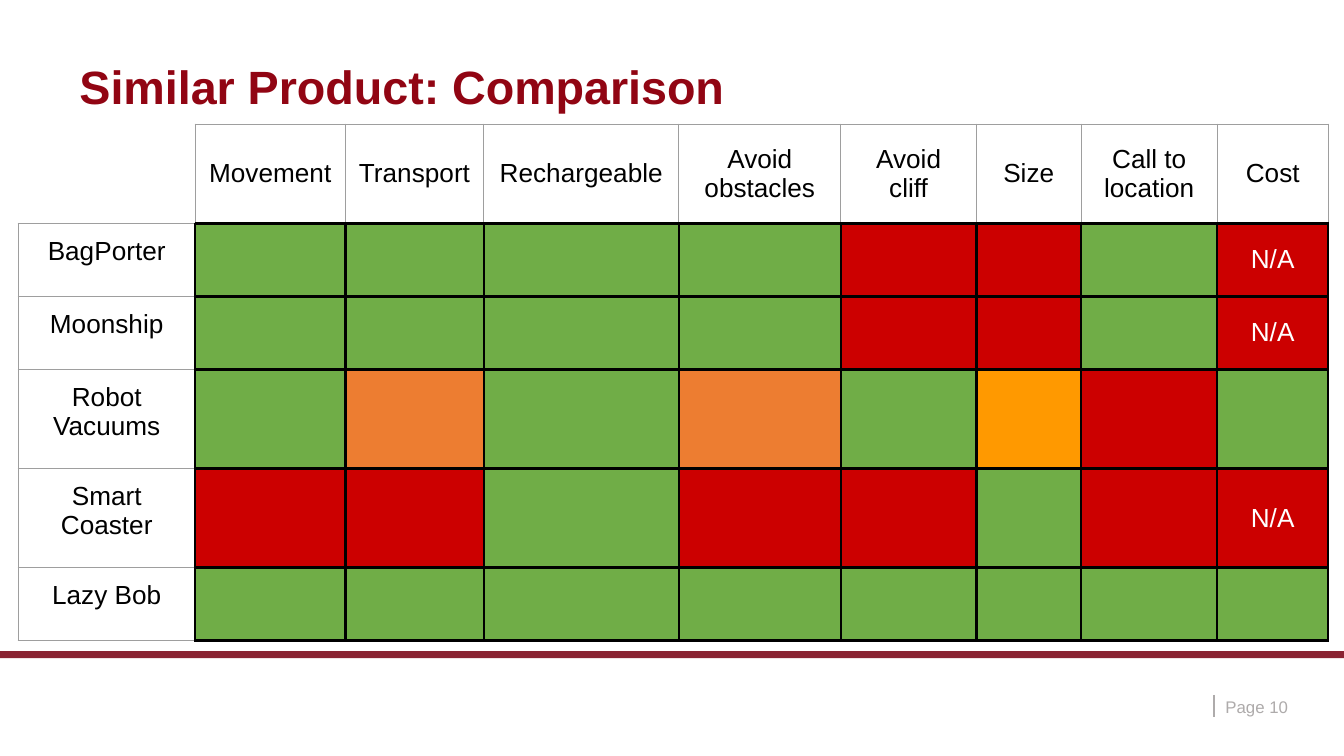
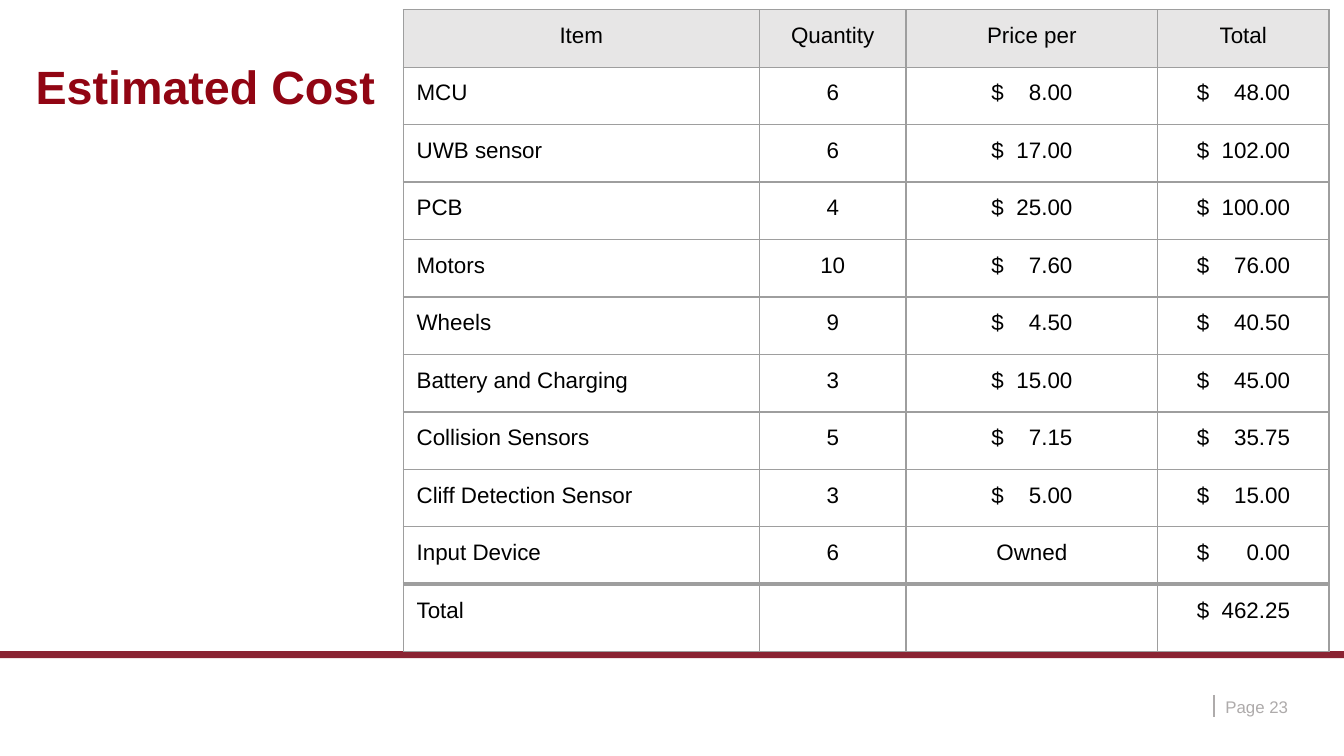
from lxml import etree
from pptx import Presentation
from pptx.dml.color import RGBColor
from pptx.enum.shapes import MSO_CONNECTOR, MSO_SHAPE
from pptx.enum.text import MSO_ANCHOR, PP_ALIGN
from pptx.oxml.ns import qn
from pptx.util import Pt

LEFT, CENTER = PP_ALIGN.LEFT, PP_ALIGN.CENTER
TOP, MIDDLE = MSO_ANCHOR.TOP, MSO_ANCHOR.MIDDLE
RECT, STRAIGHT = MSO_SHAPE.RECTANGLE, MSO_CONNECTOR.STRAIGHT

BLACK = RGBColor(0x00, 0x00, 0x00)
WHITE = RGBColor(0xFF, 0xFF, 0xFF)
CRIMSON = RGBColor(0x91, 0x05, 0x13)
MAROON = RGBColor(0x8A, 0x23, 0x32)
SILVER = RGBColor(0xAE, 0xAB, 0xAB)
GRAY = RGBColor(0x9E, 0x9E, 0x9E)
PALE = RGBColor(0xE7, 0xE6, 0xE6)
GREEN = RGBColor(0x70, 0xAD, 0x47)
RED = RGBColor(0xCC, 0x00, 0x00)
ORANGE = RGBColor(0xED, 0x7D, 0x31)
AMBER = RGBColor(0xFF, 0x99, 0x00)

FONT = "Arial"
PAD = 7.2
THIN, BOLD, THICK = (GRAY, 0.75), (BLACK, 1.5), (GRAY, 2.25)
CLEAR = (WHITE, 0.75)
MARKS = {"G": GREEN, "R": RED, "O": ORANGE, "A": AMBER}

TRAITS = ["Movement", "Transport", "Rechargeable", "Avoid obstacles",
          "Avoid cliff", "Size", "Call to location", "Cost"]
RIVALS = [
    ("BagPorter", "GGGGRRGR", 39.1),
    ("Moonship", "GGGGRRGR", 39.1),
    ("Robot Vacuums", "GOGOGARG", 53.1),
    ("Smart Coaster", "RRGRRGRR", 53.1),
    ("Lazy Bob", "GGGGGGGG", 39.1),
]
PARTS = [
    ("MCU", 6, 8.00),
    ("UWB sensor", 6, 17.00),
    ("PCB", 4, 25.00),
    ("Motors", 10, 7.60),
    ("Wheels", 9, 4.50),
    ("Battery and Charging", 3, 15.00),
    ("Collision Sensors", 5, 7.15),
    ("Cliff Detection Sensor", 3, 5.00),
    ("Input Device", 6, 0),
]


def write(frame, text, size, color, bold=False, align=LEFT):
    para = frame.paragraphs[0]
    para.alignment = align
    run = para.add_run()
    run.text = text
    look = {"name": FONT, "size": Pt(size), "bold": bold}
    for key, value in look.items():
        setattr(run.font, key, value)
    run.font.color.rgb = color
    return para


def add_text(slide, box, text, pads, anchor, **style):
    frame = slide.shapes.add_textbox(*map(Pt, box)).text_frame
    side, edge = map(Pt, pads)
    look = {"word_wrap": True, "vertical_anchor": anchor,
            "margin_left": side, "margin_right": side,
            "margin_top": edge, "margin_bottom": edge}
    for key, value in look.items():
        setattr(frame, key, value)
    return write(frame, text, **style)


def add_title(slide, box, text):
    para = add_text(slide, box, text, (5.2, 2.6), TOP,
                    size=25, color=CRIMSON, bold=True)
    para.line_spacing = 0.9


def add_foot(slide, box, page):
    left, top, width, height = box
    band = slide.shapes.add_shape(RECT, Pt(left), Pt(top), Pt(width), Pt(3.8))
    band.shadow.inherit = False
    band.fill.solid()
    band.fill.fore_color.rgb = MAROON
    band.line.fill.background()
    x = left + 650.2
    rule = slide.shapes.add_connector(
        STRAIGHT, Pt(x), Pt(top + 23.5), Pt(x), Pt(top + 35.4))
    rule.line.color.rgb = SILVER
    rule.line.width = Pt(1.25)
    etree.SubElement(rule.element.spPr, qn("a:effectLst"))
    add_text(slide, (left + 652, top + 21.4, 52, 16.6), f"Page {page}",
             (4.5, 2.6), MIDDLE, size=9, color=SILVER)


def set_edges(cell, edges):
    props = cell._tc.get_or_add_tcPr()
    for side, (color, width) in zip("LRTB", edges):
        line = etree.SubElement(props, qn(f"a:ln{side}"), w=str(Pt(width)))
        fill = etree.SubElement(line, qn("a:solidFill"))
        etree.SubElement(fill, qn("a:srgbClr"), val=str(color))


def set_cell(cell, edges, text="", fill=None, size=12, color=BLACK,
             align=CENTER, anchor=TOP, pad=PAD):
    set_edges(cell, edges)
    if fill is None:
        cell.fill.background()
    else:
        cell.fill.solid()
        cell.fill.fore_color.rgb = fill
    look = {"vertical_anchor": anchor, "margin_left": Pt(pad),
            "margin_right": Pt(PAD), "margin_top": Pt(PAD),
            "margin_bottom": Pt(PAD)}
    for key, value in look.items():
        setattr(cell, key, value)
    if text:
        write(cell.text_frame, text, size, color, align=align)


def set_money(cell, edges, amount, pad, stop):
    set_cell(cell, edges, f"$\t{amount:.2f}", align=LEFT, pad=pad)
    props = cell.text_frame.paragraphs[0]._p.get_or_add_pPr()
    tabs = etree.SubElement(props, qn("a:tabLst"))
    etree.SubElement(tabs, qn("a:tab"), pos=str(Pt(stop)), algn="r")


def add_grid(slide, spot, cols, rows):
    box = [*spot, sum(cols), sum(rows)]
    grid = slide.shapes.add_table(len(rows), len(cols), *map(Pt, box)).table
    grid.first_row = grid.horz_banding = False
    for col, width in zip(grid.columns, cols):
        col.width = Pt(width)
    for row, height in zip(grid.rows, rows):
        row.height = Pt(height)
    return grid


def add_match(slide, spot):
    cols = [94.8, 80.4, 74.2, 104.5, 86.8, 72.6, 56.2, 72.9, 59.4]
    grid = add_grid(slide, spot, cols, [53.1] + [row[2] for row in RIVALS])
    set_cell(grid.cell(0, 0), (CLEAR, THIN, CLEAR, THIN))
    for c, trait in enumerate(TRAITS, 1):
        set_cell(grid.cell(0, c), (THIN, THIN, THIN, BOLD), trait,
                 size=14, anchor=MIDDLE)
    for r, (name, marks, _) in enumerate(RIVALS, 1):
        set_cell(grid.cell(r, 0), (THIN, BOLD, THIN, THIN), name, size=14)
        for c, mark in enumerate(marks, 1):
            blank = c == len(marks) and mark == "R"
            set_cell(grid.cell(r, c), [BOLD] * 4, "N/A" if blank else "",
                     MARKS[mark], size=14, color=WHITE, anchor=MIDDLE)


def add_costs(slide, spot):
    last = len(PARTS) + 1
    grid = add_grid(slide, spot, [190.8, 78.6, 134.8, 91.8],
                    [30.8] * last + [35.1])
    for c, head in enumerate(["Item", "Quantity", "Price per", "Total"]):
        set_cell(grid.cell(0, c), [THIN] * 4, head, PALE)
    for r, (name, count, price) in enumerate(PARTS, 1):
        edges = (THIN, THIN, THIN, THICK if r == last - 1 else THIN)
        set_cell(grid.cell(r, 0), edges, name, align=LEFT)
        set_cell(grid.cell(r, 1), edges, str(count))
        if price:
            set_money(grid.cell(r, 2), edges, price, 45.8, 43.4)
        else:
            set_cell(grid.cell(r, 2), edges, "Owned")
        set_money(grid.cell(r, 3), edges, count * price, 21, 50)
    edges = (THIN, THIN, THICK, THIN)
    set_cell(grid.cell(last, 0), edges, "Total", align=LEFT)
    for c in (1, 2):
        set_cell(grid.cell(last, c), edges)
    total = sum(count * price for _, count, price in PARTS)
    set_money(grid.cell(last, 3), edges, total, 21, 50)


def add_page(deck, title, left, page, fill, spot):
    slide = deck.slides.add_slide(deck.slide_layouts[6])
    add_foot(slide, (0, 348.8, 720, 56), page)
    add_title(slide, (left, 31.7, 646.6, 40.3), title)
    fill(slide, spot)


def main():
    deck = Presentation()
    deck.slide_width, deck.slide_height = Pt(720), Pt(405)
    add_page(deck, "Similar Product: Comparison", 37.4, 10,
             add_match, (9.8, 66.6))
    add_page(deck, "Estimated Cost", 13.9, 23, add_costs, (216, 5.2))
    deck.save("out.pptx")


if __name__ == "__main__":
    main()
